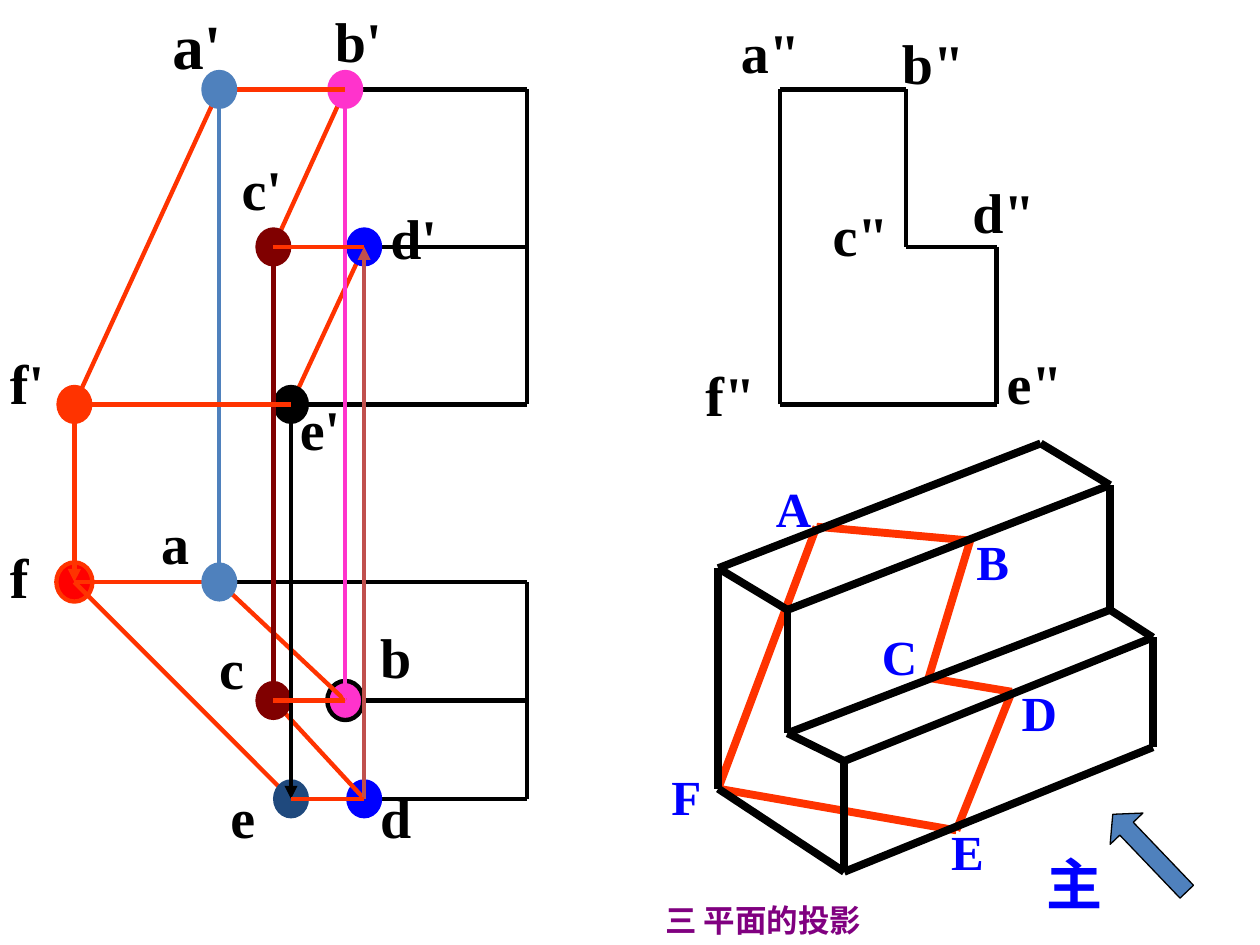
"""Build a slide with three projected views of a cut step block and its solid."""
from dataclasses import dataclass
from typing import Optional

from lxml.etree import SubElement
from pptx import Presentation
from pptx.dml.color import RGBColor
from pptx.enum.shapes import MSO_CONNECTOR as CONN, MSO_SHAPE as SHP
from pptx.enum.text import MSO_ANCHOR as ANC, MSO_AUTO_SIZE as FIT, PP_ALIGN as AL
from pptx.oxml.ns import qn
from pptx.util import Pt

BLACK = RGBColor(0x00, 0x00, 0x00)
ORANGE = RGBColor(0xFF, 0x33, 0x00)
RED = RGBColor(0xFF, 0x00, 0x00)
BLUE = RGBColor(0x00, 0x00, 0xFF)
STEEL = RGBColor(0x4F, 0x81, 0xBD)
NAVY = RGBColor(0x1F, 0x49, 0x7D)
PINK = RGBColor(0xFF, 0x33, 0xCC)
MAROON = RGBColor(0x80, 0x00, 0x00)
BRICK = RGBColor(0xC0, 0x50, 0x4D)
PURPLE = RGBColor(0x80, 0x00, 0x80)

THIN, THICK = 2.5, 4.5
DOT_W, DOT_H = 20.6, 22.4
RIGHT = 301
Point = tuple[float, float]

X = {"a": 125.3, "b": 197.3, "c": 156.2, "d": 208.1, "e": 166.3, "f": 42.5}
FRONT_Y = {"a": 51.1, "b": 51.1, "c": 141.1, "d": 141.1, "e": 231.1, "f": 231.1}
TOP_Y = {"a": 332.6, "b": 400.3, "c": 400.3, "d": 456.5, "e": 456.5, "f": 332.6}
FRONT = {n: (X[n], FRONT_Y[n]) for n in X}
TOP = {n: (X[n], TOP_Y[n]) for n in X}

SIDE = [(445.7, 51.1), (517.7, 51.1), (517.7, 141.1),
        (569.5, 141.1), (569.5, 231.1), (445.7, 231.1)]
NEAR = [(410.4, 324.7), (450, 348.5), (450, 419),
        (482.4, 434.9), (482.4, 498.2), (410.4, 450.7)]
FAR = [(594.7, 253.4), (634.3, 277.2), (634.3, 348.5), (658.8, 364.3), (658.8, 427)]
CUT = [(466.6, 301), (554.4, 308.9), (530.6, 387.4),
       (578.2, 395.3), (546.5, 474.5), (410.4, 450.7)]


@dataclass(frozen=True)
class Label:
    text: str
    x: float
    y: float
    w: float
    size: float = 32
    color: RGBColor = BLACK
    font: str = "Times New Roman"


@dataclass(frozen=True)
class Dot:
    at: Point
    fill: RGBColor
    line: Optional[RGBColor] = None


@dataclass(frozen=True)
class Ray:
    start: Point
    end: Point
    color: RGBColor


VIEW_LABELS = [
    Label("a'", 91.4, 0, 42.5, 36), Label("b'", 184.3, 0, 41),
    Label("c'", 131, 85, 37.4), Label("d'", 216, 113, 41),
    Label("e'", 164.2, 221.8, 37.4), Label("f'", -1.4, 195.8, 33.8),
    Label("a", 85, 287.3, 30.6), Label("b", 210.2, 352.1, 32.4),
    Label("c", 118.1, 358.6, 28.8), Label("d", 210.2, 443.5, 32.4),
    Label("e", 124.6, 443.5, 28.8), Label("f", -1.4, 306.7, 25.2),
    Label('a"', 416.2, 6.5, 49), Label('b"', 508.3, 13, 51),
    Label('c"', 468.7, 110.9, 47.5), Label('d"', 548.6, 97.9, 51),
    Label('e"', 568.1, 195.8, 47.5), Label('f"', 396, 202.3, 44),
]
SOLID_LABELS = [
    Label("A", 436.3, 270, 34.8, 28, BLUE), Label("B", 550.8, 300.2, 33.4, 28, BLUE),
    Label("C", 496.8, 354.2, 46, 28, BLUE), Label("D", 576.7, 386.6, 34.8, 28, BLUE),
    Label("E", 536.4, 465.8, 33.4, 28, BLUE), Label("F", 376.6, 434.2, 31.8, 28, BLUE),
]
MAIN = Label("主", 590.4, 481.7, 46.8, 32, BLUE)
TITLE = Label("三 平面的投影", 373, 511.2, 127.4, 18, PURPLE, "Cambria")

BACK_DOTS = [
    Dot(TOP["f"], RED, ORANGE), Dot(TOP["b"], PINK, BLACK),
    Dot(FRONT["b"], PINK), Dot(TOP["d"], BLUE),
]
MIDDLE_DOTS = [
    Dot(FRONT["d"], BLUE), Dot(FRONT["c"], MAROON), Dot(TOP["c"], MAROON),
    Dot(TOP["e"], NAVY), Dot(FRONT["e"], BLACK),
]
FRONT_DOTS = [Dot(FRONT["f"], ORANGE), Dot(FRONT["a"], STEEL), Dot(TOP["a"], STEEL)]
RAYS = [
    Ray(FRONT["a"], TOP["a"], STEEL), Ray(FRONT["b"], TOP["b"], PINK),
    Ray(FRONT["c"], TOP["c"], MAROON), Ray(FRONT["f"], TOP["f"], ORANGE),
    Ray(TOP["d"], FRONT["d"], BRICK), Ray(FRONT["e"], TOP["e"], BLACK),
]


def add_line(s, start: Point, end: Point, color: RGBColor, width: float = THIN,
             arrow: bool = False) -> None:
    sp = s.shapes.add_connector(CONN.STRAIGHT, *(Pt(v) for v in (*start, *end)))
    sp.line.color.rgb = color
    sp.line.width = Pt(width)
    if arrow:
        SubElement(sp.line._get_or_add_ln(), qn("a:tailEnd"), type="triangle")
    SubElement(sp._element.spPr, qn("a:effectLst"))


def add_path(s, points: list[Point], color: RGBColor, width: float = THIN,
             closed: bool = True) -> None:
    ends = points[1:] + (points[:1] if closed else [])
    for start, end in zip(points, ends):
        add_line(s, start, end, color, width)


def add_edges(s, view: dict[str, Point], *pairs: str) -> None:
    for start, end in pairs:
        add_line(s, view[start], view[end], ORANGE)


def add_dots(s, dots: list[Dot]) -> None:
    for dot in dots:
        x, y = dot.at
        sp = s.shapes.add_shape(SHP.OVAL, Pt(x - DOT_W / 2), Pt(y - DOT_H / 2),
                                Pt(DOT_W), Pt(DOT_H))
        sp.shadow.inherit = False
        sp.fill.solid()
        sp.fill.fore_color.rgb = dot.fill
        if dot.line is None:
            sp.line.fill.background()
        else:
            sp.line.color.rgb = dot.line
            sp.line.width = Pt(THIN)


def add_label(s, label: Label, align: AL = AL.LEFT, anchor: ANC = ANC.TOP) -> None:
    height = label.size * 1.2 + 7.2
    tf = s.shapes.add_textbox(Pt(label.x), Pt(label.y), Pt(label.w), Pt(height)).text_frame
    tf.word_wrap = False
    tf.auto_size = FIT.SHAPE_TO_FIT_TEXT
    tf.vertical_anchor = anchor
    p = tf.paragraphs[0]
    p.alignment = align
    r = p.add_run()
    r.text = label.text
    r.font.name = label.font
    r.font.size = Pt(label.size)
    r.font.bold = True
    r.font.color.rgb = label.color


def add_view_arrow(s) -> None:
    sp = s.shapes.add_shape(SHP.LEFT_ARROW, Pt(626.4), Pt(474.5), Pt(61.2), Pt(25.9))
    sp.adjustments[0], sp.adjustments[1] = 0.41, 0.44
    sp.rotation = 46.3
    sp.shadow.inherit = False
    sp.fill.solid()
    sp.fill.fore_color.rgb = STEEL
    sp.line.color.rgb = BLACK
    sp.line.width = Pt(0.75)


def add_outlines(s) -> None:
    for view, names in ((FRONT, "bce"), (TOP, "ace")):
        ys = [view[n][1] for n in names]
        for n, y in zip(names, ys):
            add_line(s, view[n], (RIGHT, y), BLACK)
        add_line(s, (RIGHT, ys[0]), (RIGHT, ys[-1]), BLACK)
    add_path(s, SIDE, BLACK)


def add_solid(s) -> None:
    for label in SOLID_LABELS:
        add_label(s, label)
    add_path(s, CUT, ORANGE, THICK)
    add_path(s, NEAR, BLACK, THICK)
    add_path(s, FAR, BLACK, THICK, closed=False)
    for near, far in zip(NEAR, FAR):
        add_line(s, near, far, BLACK, THICK)
    add_view_arrow(s)
    add_label(s, MAIN, AL.CENTER, ANC.MIDDLE)


def add_projections(s) -> None:
    add_edges(s, FRONT, "af", "bc", "de")
    add_dots(s, BACK_DOTS)
    add_edges(s, TOP, "cd", "ef")
    add_dots(s, MIDDLE_DOTS)
    add_edges(s, TOP, "ba")
    for label in VIEW_LABELS:
        add_label(s, label)
    for ray in RAYS:
        add_line(s, ray.start, ray.end, ray.color, arrow=True)
    add_edges(s, FRONT, "ab", "cd", "ef")
    add_edges(s, TOP, "bc", "de", "af")
    add_dots(s, FRONT_DOTS)


def main() -> None:
    prs = Presentation()
    prs.slide_width, prs.slide_height = Pt(720), Pt(540)
    s = prs.slides.add_slide(prs.slide_layouts[6])
    add_outlines(s)
    add_solid(s)
    add_projections(s)
    add_label(s, TITLE)
    prs.save("out.pptx")


if __name__ == "__main__":
    main()
